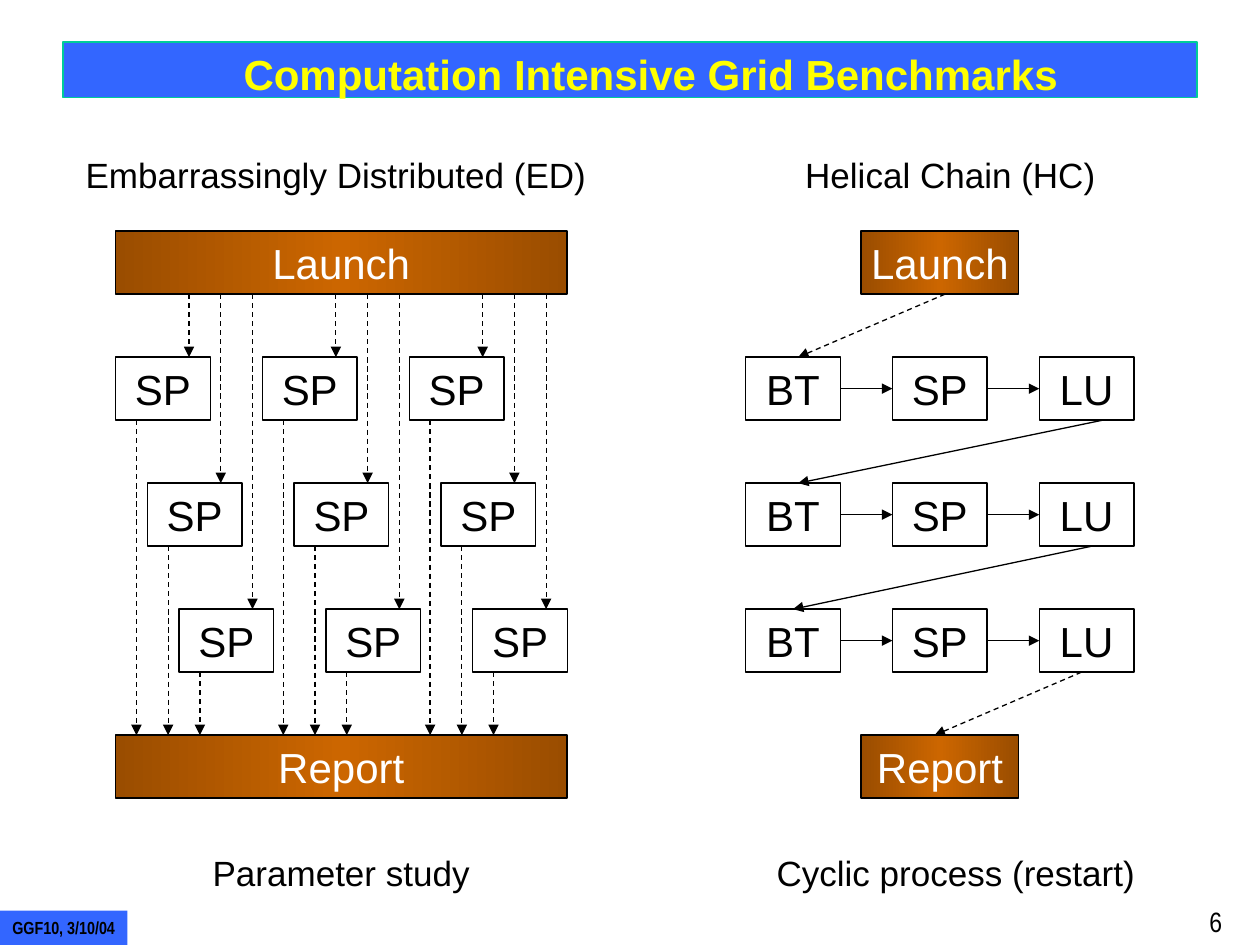
"""Build the slide on computation intensive grid benchmarks."""
from copy import deepcopy

from lxml import etree
from pptx import Presentation
from pptx.dml.color import RGBColor
from pptx.enum.dml import MSO_LINE
from pptx.enum.shapes import MSO_CONNECTOR, MSO_SHAPE
from pptx.enum.text import MSO_ANCHOR, PP_ALIGN
from pptx.oxml.ns import qn
from pptx.util import Cm, Pt

RECTANGLE = MSO_SHAPE.RECTANGLE
STRAIGHT = MSO_CONNECTOR.STRAIGHT
DASH = MSO_LINE.DASH
LEFT, CENTER = PP_ALIGN.LEFT, PP_ALIGN.CENTER
TOP, MIDDLE = MSO_ANCHOR.TOP, MSO_ANCHOR.MIDDLE

BLACK = RGBColor(0x00, 0x00, 0x00)
WHITE = RGBColor(0xFF, 0xFF, 0xFF)
YELLOW = RGBColor(0xFF, 0xFF, 0x00)
BLUE = RGBColor(0x33, 0x66, 0xFF)
GREEN = RGBColor(0x00, 0xCC, 0x99)
BROWN = RGBColor(0x9A, 0x4D, 0x00)
ORANGE = RGBColor(0xCC, 0x66, 0x00)

LINE_WIDTH = Pt(0.75)
BOX_WIDTH, BOX_HEIGHT = 1.91, 1.27
COLUMN_STEP, ROW_STEP, ROW_SHIFT = 2.96, 2.54, 0.64
LAUNCH_TOP = 4.66
LAUNCH_BOTTOM = LAUNCH_TOP + BOX_HEIGHT
ROW_TOPS = [LAUNCH_TOP + ROW_STEP * row for row in (1, 2, 3)]
REPORT_TOP = LAUNCH_TOP + 4 * ROW_STEP
ED_LEFT, ED_WIDTH = 2.33, 9.1
HC_LEFT, HC_BAND_LEFT, HC_BAND_WIDTH = 15.03, 17.36, 3.18
ARROW_IN, ARROW_OUT = 1.48, 0.42


class Diagram:
    """Hold the style and the current slide."""

    def __init__(self, slide, font="Arial"):
        self.slide = slide
        self.font = font

    def set_text(self, shape, text, size, color, bold=False, align=CENTER,
                 anchor=MIDDLE, wrap=False, font=None):
        frame = shape.text_frame
        frame.text = text
        frame.word_wrap = wrap
        frame.vertical_anchor = anchor
        paragraph = frame.paragraphs[0]
        paragraph.alignment = align
        style = paragraph.runs[0].font
        style.name = font or self.font
        style.size = Pt(size)
        style.bold = bold
        style.color.rgb = color

    def rectangle(self, left, top, width, height, fill=None, line=None):
        shape = self.slide.shapes.add_shape(
            RECTANGLE, Cm(left), Cm(top), Cm(width), Cm(height))
        shape.shadow.inherit = False
        if fill is None:
            shape.fill.background()
        else:
            shape.fill.solid()
            shape.fill.fore_color.rgb = fill
        if line is None:
            shape.line.fill.background()
        else:
            shape.line.color.rgb = line
            shape.line.width = LINE_WIDTH
        return shape

    def task(self, left, top, text):
        shape = self.rectangle(left, top, BOX_WIDTH, BOX_HEIGHT, line=BLACK)
        self.set_text(shape, text, 24, BLACK)
        return shape

    def band(self, left, top, width, text):
        shape = self.rectangle(left, top, width, BOX_HEIGHT, line=BLACK)
        shape.fill.gradient()
        shape.fill.gradient_angle = 0
        edge, middle = shape.fill.gradient_stops
        edge.position, edge.color.rgb = 0, BROWN
        middle.position, middle.color.rgb = 0.5, ORANGE
        stops = next(shape.element.iter(qn("a:gsLst")))
        last = deepcopy(stops[0])
        last.set("pos", "100000")
        stops.append(last)
        self.set_text(shape, text, 24, WHITE)

    def label(self, left, top, width, height, text, size, color=BLACK, **style):
        box = self.slide.shapes.add_textbox(
            Cm(left), Cm(top), Cm(width), Cm(height))
        self.set_text(box, text, size, color, anchor=TOP, **style)

    def arrow(self, start, end, dashed=False):
        connector = self.slide.shapes.add_connector(
            STRAIGHT, *(Cm(value) for value in (*start, *end)))
        connector.line.color.rgb = BLACK
        connector.line.width = LINE_WIDTH
        if dashed:
            connector.line.dash_style = DASH
        etree.SubElement(connector.get_or_add_ln(), qn("a:tailEnd"), type="triangle")
        etree.SubElement(connector.element.spPr, qn("a:effectLst"))
        return connector


def draw_frame(diagram):
    """Draw the title, footer and page number."""
    diagram.rectangle(1.27, 0.85, 22.86, 1.12, BLUE, GREEN)
    diagram.label(4.66, 0.85, 16.92, 1.27, "Computation Intensive Grid Benchmarks",
                  24, YELLOW, bold=True, align=LEFT)
    footer = diagram.rectangle(0, 18.36, 2.57, 0.69, BLUE)
    diagram.set_text(footer, "GGF10, 3/10/04", 10, BLACK, bold=True, align=LEFT,
                     anchor=TOP, font="Arial Narrow")
    diagram.label(24.13, 18.12, 1.27, 0.93, "6", 16, align=LEFT, wrap=True,
                  font="Arial Narrow")


def draw_captions(diagram):
    """Put a caption above and below each benchmark."""
    for left, top, width, text in (
            (0, 2.96, 13.55, "Embarrassingly Distributed (ED)"),
            (14.82, 2.96, 8.68, "Helical Chain (HC)"),
            (2.54, 17.04, 8.68, "Parameter study"),
            (14.4, 17.04, 9.74, "Cyclic process (restart)")):
        diagram.label(left, top, width, 1.11, text, 20, wrap=True)


def draw_distributed(diagram):
    """Draw independent tasks between launch and report."""
    diagram.band(ED_LEFT, LAUNCH_TOP, ED_WIDTH, "Launch")
    diagram.band(ED_LEFT, REPORT_TOP, ED_WIDTH, "Report")
    for row, top in enumerate(ROW_TOPS):
        for column in range(3):
            left = ED_LEFT + column * COLUMN_STEP + row * ROW_SHIFT
            diagram.task(left, top, "SP")
            x_in, x_out = left + ARROW_IN, left + ARROW_OUT
            diagram.arrow((x_in, LAUNCH_BOTTOM), (x_in, top), dashed=True)
            diagram.arrow((x_out, top + BOX_HEIGHT), (x_out, REPORT_TOP), dashed=True)


def draw_helical(diagram):
    """Draw the chain of tasks that winds from launch to report."""
    diagram.band(HC_BAND_LEFT, LAUNCH_TOP, HC_BAND_WIDTH, "Launch")
    diagram.band(HC_BAND_LEFT, REPORT_TOP, HC_BAND_WIDTH, "Report")
    first_tasks = []
    for top in ROW_TOPS:
        tasks = [diagram.task(HC_LEFT + column * COLUMN_STEP, top, name)
                 for column, name in enumerate(("BT", "SP", "LU"))]
        first_tasks.append(tasks[0])
        for source, target in zip(tasks, tasks[1:]):
            link = diagram.arrow((0, 0), (0, 0))
            link.begin_connect(source, 3)
            link.end_connect(target, 1)
    first, second, third = ROW_TOPS
    diagram.arrow((19.05, LAUNCH_BOTTOM), (16.09, first), dashed=True)
    diagram.arrow((22.23, first + BOX_HEIGHT), (16.09, second))
    restart = diagram.arrow((22.01, second + BOX_HEIGHT), (15.98, third))
    restart.end_connect(first_tasks[2], 0)
    diagram.arrow((21.8, third + BOX_HEIGHT), (18.84, REPORT_TOP), dashed=True)


def main():
    """Build and save the presentation."""
    presentation = Presentation()
    presentation.slide_width = Cm(25.4)
    presentation.slide_height = Cm(19.05)
    diagram = Diagram(presentation.slides.add_slide(presentation.slide_layouts[6]))
    draw_frame(diagram)
    draw_captions(diagram)
    draw_distributed(diagram)
    draw_helical(diagram)
    presentation.save("out.pptx")


if __name__ == "__main__":
    main()
